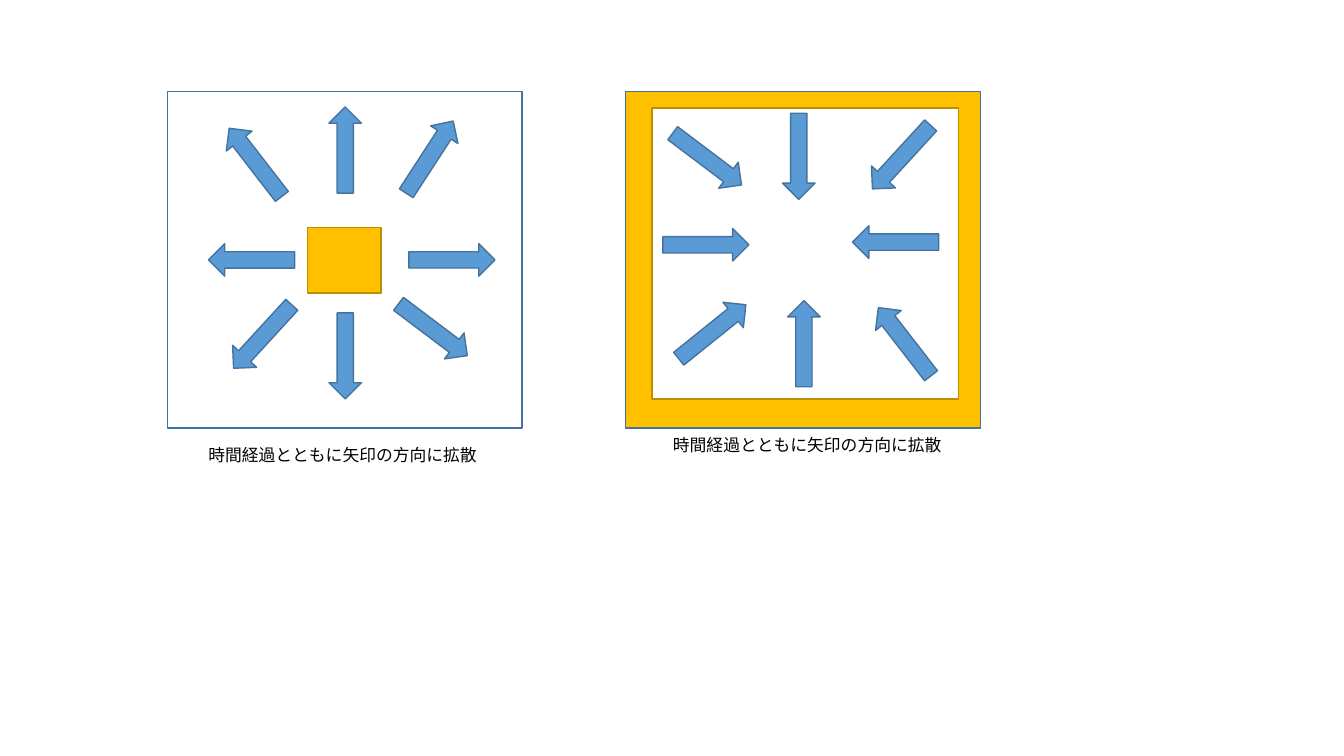
from dataclasses import dataclass

from pptx import Presentation
from pptx.dml.color import RGBColor as RGB
from pptx.enum.shapes import MSO_SHAPE as SHAPE
from pptx.enum.text import MSO_AUTO_SIZE as AUTO_SIZE
from pptx.util import Cm, Pt


@dataclass(frozen=True)
class Theme:
    """Colours, font and sizes of the slide."""
    blue: str = "5B9BD5"
    blue_line: str = "43739E"
    gold: str = "FFC000"
    gold_line: str = "BD8E00"
    white: str = "FFFFFF"
    black: str = "000000"
    font: str = "Calibri"
    text_size: float = 12
    line_width: float = 1


THEME = Theme()
CAPTION = "時間経過とともに矢印の方向に拡散"
FRAME_TOP, FRAME_W, FRAME_H = 2.31, 8.94, 8.48
ARROW_W, ARROW_H = 2.17, 0.82

OUTWARD_ARROWS = [
    (8.7, 3.78, 270), (8.7, 8.97, 90), (11.39, 6.55, 0), (6.34, 6.55, 180),
    (6.44, 4.09, 232.3), (10.83, 3.96, 303), (6.62, 8.48, 132.5), (10.91, 8.31, 37),
]
INWARD_ARROWS = [
    (20.26, 8.66, 270), (20.13, 3.94, 90), (17.79, 6.17, 0), (22.57, 6.1, 180),
    (17.95, 8.36, 321.2), (22.8, 8.61, 232.3), (17.82, 4.01, 37), (22.72, 3.96, 132.5),
]


def add_block(s, kind, left, top, width, height, fill, line):
    """Add an outlined preset shape, unfilled when fill is None."""
    sp = s.shapes.add_shape(kind, Cm(left), Cm(top), Cm(width), Cm(height))
    sp.shadow.inherit = False
    if fill:
        sp.fill.solid()
        sp.fill.fore_color.rgb = RGB.from_string(fill)
    else:
        sp.fill.background()
    sp.line.color.rgb = RGB.from_string(line)
    sp.line.width = Pt(THEME.line_width)
    return sp


def add_frame(s, left, fill=None):
    """Add the outer frame of a diagram."""
    add_block(s, SHAPE.RECTANGLE, left, FRAME_TOP, FRAME_W, FRAME_H, fill, THEME.blue_line)


def add_arrows(s, arrows):
    """Add arrows given by centre and rotation."""
    for x, y, angle in arrows:
        sp = add_block(s, SHAPE.RIGHT_ARROW, x - ARROW_W / 2, y - ARROW_H / 2,
                       ARROW_W, ARROW_H, THEME.blue, THEME.blue_line)
        sp.rotation = angle


def add_caption(s, left, top):
    """Add the caption below a diagram."""
    tf = s.shapes.add_textbox(Cm(left), Cm(top), Cm(7.47), Cm(0.76)).text_frame
    tf.word_wrap = True
    tf.auto_size = AUTO_SIZE.SHAPE_TO_FIT_TEXT
    tf.text = CAPTION
    font = tf.paragraphs[0].runs[0].font
    font.name = THEME.font
    font.size = Pt(THEME.text_size)
    font.color.rgb = RGB.from_string(THEME.black)


def main():
    """Build the slide with the outward and inward diffusion diagrams."""
    prs = Presentation()
    prs.slide_width, prs.slide_height = Cm(33.87), Cm(19.05)
    s = prs.slides.add_slide(prs.slide_layouts[6])

    add_frame(s, 4.22)
    add_block(s, SHAPE.RECTANGLE, 7.75, 5.74, 1.85, 1.65, THEME.gold, THEME.gold_line)
    add_arrows(s, OUTWARD_ARROWS)
    add_caption(s, 5, 11.07)

    add_frame(s, 15.77, THEME.gold)
    add_block(s, SHAPE.RECTANGLE, 16.43, 2.72, 7.72, 7.34, THEME.white, THEME.gold_line)
    add_arrows(s, INWARD_ARROWS)
    add_caption(s, 16.71, 10.82)

    prs.save("out.pptx")


main()
